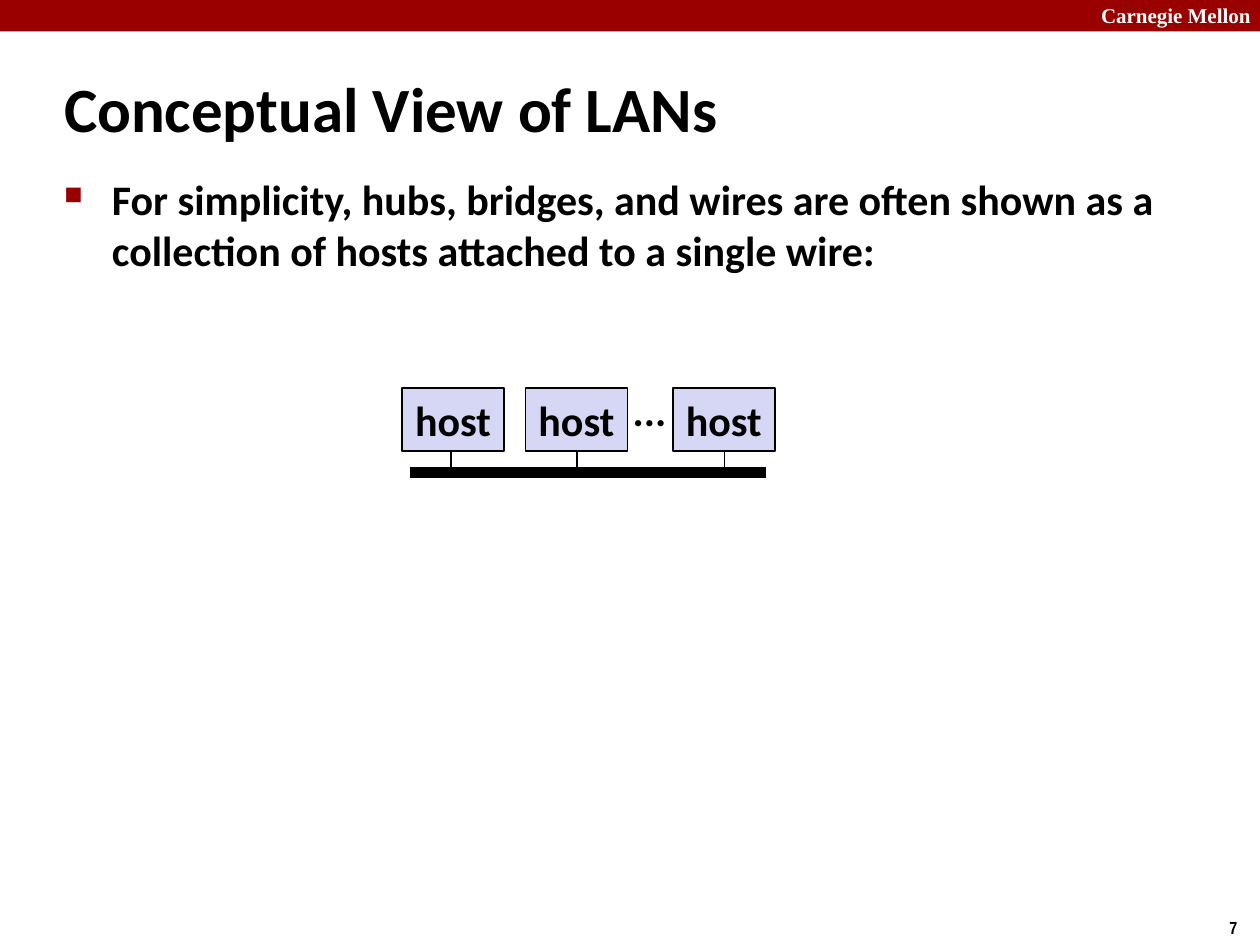
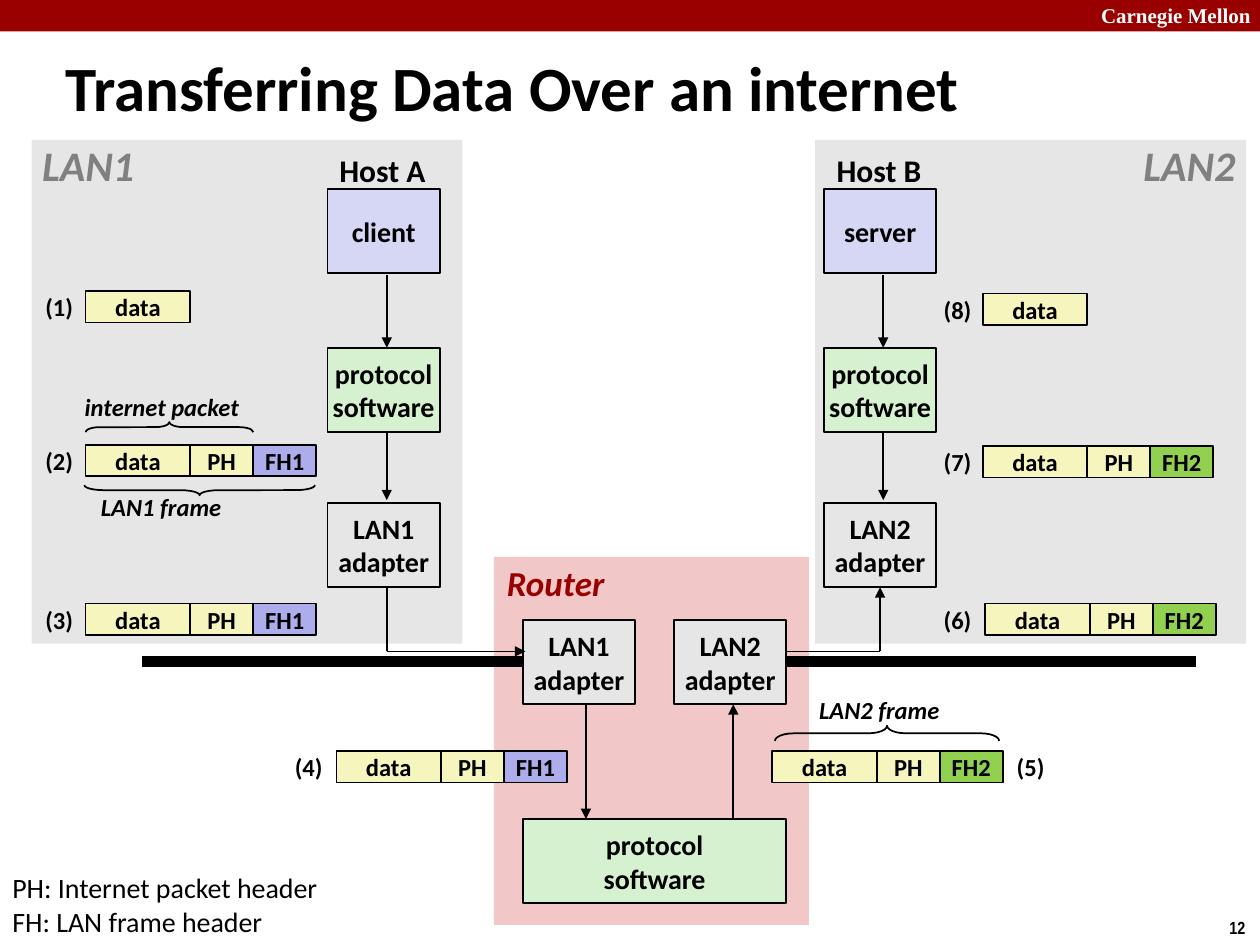
from dataclasses import dataclass
from typing import Any, Optional

from lxml import etree
from pptx import Presentation
from pptx import util as u
from pptx.dml.color import RGBColor
from pptx.enum import shapes, text
from pptx.oxml.ns import qn

CARDINAL, BLACK, WHITE, GREY = "990000", "000000", "FFFFFF", "808080"
PANEL, ROUTER_PINK = "E6E6E6", "F1C7C7"
LAVENDER, MINT, CREAM = "D6D6F5", "D5F1CF", "F6F5BD"
HEADER_FILLS = {"FH1": "ADADEB", "FH2": "92D050"}
BOTTOM = 2
STACK_WIDTH, BOX_HEIGHT = 0.89, 0.67
STACK_ARROW_SHIFT = 0.47
CELL_HEIGHT = 0.25


@dataclass(frozen=True)
class Style:
    size: float
    color: str = BLACK
    bold: bool = True
    italic: bool = False
    font: str = "Calibri"
    centered: bool = True
    middle: bool = True
    wrap: bool = False
    bullet: bool = False


TITLE = Style(36, centered=False, wrap=True)
BULLET = Style(24, centered=False, middle=False, wrap=True, bullet=True)
UNIVERSITY = Style(12, WHITE, font="Times New Roman", centered=False, middle=False, wrap=True)
PAGE_NUMBER = Style(10, font="Arial Narrow", centered=False, middle=False)
LEGEND = Style(16, bold=False, centered=False, middle=False)
HOST = Style(24)
HOST_NAME = Style(18)
LAN_NAME = Style(24, GREY, italic=True)
ROUTER_NAME = Style(20, CARDINAL, italic=True)
BOX = Style(16)
CELL = Style(14)
BRACE_NAME = Style(14, italic=True)


@dataclass(frozen=True)
class Area:
    left: float
    top: float
    width: float
    height: float

    def lengths(self) -> list[u.Length]:
        return [u.Inches(v) for v in (self.left, self.top, self.width, self.height)]


@dataclass(frozen=True)
class Frame:
    step: int
    left: float
    top: float
    header: Optional[str] = None
    label_shift: float = -0.43


@dataclass(frozen=True)
class Brace:
    area: Area
    opens_down: bool
    name: str
    name_area: Area


@dataclass(frozen=True)
class Lan:
    panel_left: float
    name: str
    name_left: float
    host: str
    program: str
    stack_left: float
    wire_left: float


def rgb(color: str) -> RGBColor:
    return RGBColor.from_string(color)


def add_bullet(paragraph: Any) -> None:
    properties = paragraph._p.get_or_add_pPr()
    indent = u.Inches(0.38)
    properties.set("marL", str(indent))
    properties.set("indent", str(-indent))
    color = etree.SubElement(properties, qn("a:buClr"))
    etree.SubElement(color, qn("a:srgbClr"), val=CARDINAL)
    etree.SubElement(properties, qn("a:buSzPct"), val="60000")
    etree.SubElement(properties, qn("a:buChar"), char="■")


def write(shape: Any, words: str, style: Style) -> None:
    frame = shape.text_frame
    frame.word_wrap = style.wrap
    frame.vertical_anchor = text.MSO_ANCHOR.MIDDLE if style.middle else text.MSO_ANCHOR.TOP
    frame.text = words
    for paragraph in frame.paragraphs:
        if style.bullet:
            add_bullet(paragraph)
        paragraph.alignment = text.PP_ALIGN.CENTER if style.centered else text.PP_ALIGN.LEFT
        font = paragraph.font
        font.name, font.size = style.font, u.Pt(style.size)
        font.bold, font.italic = style.bold, style.italic
        font.color.rgb = rgb(style.color)


def add_label(parent: Any, area: Area, words: str, style: Style) -> None:
    write(parent.shapes.add_textbox(*area.lengths()), words, style)


def add_box(parent: Any, area: Area, fill: str, words: str = "",
            style: Style = BOX, outlined: bool = True) -> Any:
    box = parent.shapes.add_shape(shapes.MSO_SHAPE.RECTANGLE, *area.lengths())
    box.shadow.inherit = False
    box.fill.solid()
    box.fill.fore_color.rgb = rgb(fill)
    if outlined:
        box.line.color.rgb = rgb(BLACK)
        box.line.width = u.Pt(1)
    else:
        box.line.fill.background()
    if words:
        write(box, words, style)
    return box


def add_line(parent: Any, start: tuple[float, float], end: tuple[float, float],
             width: float = 1, arrow: bool = False) -> Any:
    line = parent.shapes.add_connector(
        shapes.MSO_CONNECTOR.STRAIGHT, *[u.Inches(v) for v in (*start, *end)])
    line.line.color.rgb = rgb(BLACK)
    line.line.width = u.Pt(width)
    if arrow:
        etree.SubElement(line.line._get_or_add_ln(), qn("a:tailEnd"), type="triangle")
    etree.SubElement(line._element.spPr, qn("a:effectLst"))
    return line


def add_brace(parent: Any, brace: Brace) -> None:
    """Draw a horizontal brace: a left brace turned about its centre."""
    area = brace.area
    length, depth = area.width, area.height
    upright = Area(area.left + (length - depth) / 2, area.top + (depth - length) / 2,
                   depth, length)
    shape = parent.shapes.add_shape(shapes.MSO_SHAPE.LEFT_BRACE, *upright.lengths())
    shape.shadow.inherit = False
    shape.rotation = 90 if brace.opens_down else 270
    shape.adjustments[0] = length / depth / 12
    shape.fill.background()
    shape.line.color.rgb = rgb(BLACK)
    shape.line.width = u.Pt(1)
    add_label(parent, brace.name_area, brace.name, BRACE_NAME)


def add_frame(slide: Any, frame: Frame, braces: list[Brace]) -> None:
    group = slide.shapes.add_group_shape()
    cells = [("data", 0.83, CREAM)]
    if frame.header:
        cells += [("PH", 0.5, CREAM), (frame.header, 0.5, HEADER_FILLS[frame.header])]
    left = frame.left
    for words, width, fill in cells:
        add_box(group, Area(left, frame.top, width, CELL_HEIGHT), fill, words, CELL)
        left += width
    add_label(group, Area(frame.left + frame.label_shift, frame.top - 0.04, 0.44, 0.33),
              f"({frame.step})", CELL)
    for brace in braces:
        add_brace(group, brace)


def add_base(deck: Any, title: str, title_area: Area, number: int) -> Any:
    slide = deck.slides.add_slide(deck.slide_layouts[6])
    add_box(slide, Area(0, 0, 10, 0.25), CARDINAL, outlined=False)
    add_label(slide, Area(8.64, -0.03, 1.43, 0.3), "Carnegie Mellon", UNIVERSITY)
    add_label(slide, Area(9.66, 7.23, 0.34, 0.27), str(number), PAGE_NUMBER)
    add_label(slide, title_area, title, TITLE)
    return slide


def build_concept(deck: Any) -> None:
    slide = add_base(deck, "Conceptual View of LANs", Area(0.41, 0.54, 7.68, 0.63), 7)
    add_label(slide, Area(0.41, 1.33, 9.09, 0.83),
              "For simplicity, hubs, bridges, and wires are often shown as a "
              "collection of hosts attached to a single wire:", BULLET)
    wire_y = 3.75
    add_line(slide, (3.25, wire_y), (6.08, wire_y), width=6)
    for drop_x in (3.58, 4.58, 5.75):
        add_line(slide, (drop_x, 3.42), (drop_x, wire_y))
    for left in (3.19, 4.17, 5.34):
        add_box(slide, Area(left, 3.08, 0.81, 0.5), LAVENDER, "host", HOST)
    add_label(slide, Area(4.92, 3, 0.47, 0.5), "...", HOST)


LANS = [
    Lan(0.25, "LAN1", 0.23, "Host A", "client", 2.6, 1.13),
    Lan(6.47, "LAN2", 8.97, "Host B", "server", 6.54, 6.24),
]
FRAMES = [
    Frame(1, 0.68, 2.31),
    Frame(2, 0.68, 3.53, "FH1"),
    Frame(3, 0.68, 4.79, "FH1"),
    Frame(4, 2.67, 5.96, "FH1", label_shift=-0.44),
    Frame(5, 6.13, 5.96, "FH2", label_shift=1.83),
    Frame(6, 7.82, 4.79, "FH2", label_shift=-0.44),
    Frame(7, 7.8, 3.54, "FH2", label_shift=-0.42),
    Frame(8, 7.8, 2.33, label_shift=-0.42),
]
BRACES = {
    2: [Brace(Area(0.68, 3.35, 1.33, 0.08), True, "internet packet",
              Area(0.57, 3.06, 1.43, 0.34)),
        Brace(Area(0.67, 3.85, 1.83, 0.08), False, "LAN1 frame",
              Area(0.7, 3.85, 1.16, 0.34))],
    5: [Brace(Area(6.15, 5.76, 1.78, 0.12), True, "LAN2 frame",
              Area(6.4, 5.46, 1.16, 0.34))],
}


def add_host_stack(slide: Any, lan: Lan) -> Any:
    """Draw a host's three boxes from program to adapter, and return the adapter."""
    layers = [(1.5, LAVENDER, lan.program), (2.76, MINT, "protocol\nsoftware"),
              (3.99, PANEL, f"{lan.name}\nadapter")]
    boxes = [add_box(slide, Area(lan.stack_left, top, STACK_WIDTH, BOX_HEIGHT), fill, words)
             for top, fill, words in layers]
    arrow_x = lan.stack_left + STACK_ARROW_SHIFT
    for start_y, end_y in ((2.18, 2.76), (3.43, 3.97)):
        add_line(slide, (arrow_x, start_y), (arrow_x, end_y), arrow=True)
    add_label(slide, Area(lan.stack_left - 0.01, 1.15, STACK_WIDTH, 0.4), lan.host, HOST_NAME)
    return boxes[-1]


def build_transfer(deck: Any) -> None:
    slide = add_base(deck, "Transferring Data Over an internet", Area(0.42, 0.37, 8.68, 0.63), 12)
    for lan in LANS:
        add_box(slide, Area(lan.panel_left, 1.11, 3.42, 4), PANEL, outlined=False)
        add_label(slide, Area(lan.name_left, 1.06, 0.94, 0.5), lan.name, LAN_NAME)
    add_box(slide, Area(3.92, 4.42, 2.5, 2.92), ROUTER_PINK, outlined=False)
    add_label(slide, Area(3.92, 4.4, 0.98, 0.44), "Router", ROUTER_NAME)
    for lan in LANS:
        add_line(slide, (lan.wire_left, 5.25), (lan.wire_left + 3.25, 5.25), width=6)
    _, adapter_b = [add_host_stack(slide, lan) for lan in LANS]

    router_left, router_top, software_top = 4.15, 4.92, 6.5
    router_right = 6.24
    for lan, left in zip(LANS, (router_left, router_right - STACK_WIDTH)):
        add_box(slide, Area(left, router_top, STACK_WIDTH, BOX_HEIGHT), PANEL,
                f"{lan.name}\nadapter")
    add_box(slide, Area(router_left, software_top, router_right - router_left, BOX_HEIGHT),
            MINT, "protocol\nsoftware")
    adapter_bottom = router_top + BOX_HEIGHT
    add_line(slide, (4.65, adapter_bottom), (4.65, software_top), arrow=True)
    add_line(slide, (5.82, software_top), (5.82, adapter_bottom), arrow=True)

    turn_y = 5.17
    exit_x = LANS[0].stack_left + STACK_ARROW_SHIFT
    entry_x = LANS[1].stack_left + STACK_WIDTH / 2
    add_line(slide, (exit_x, 4.65), (exit_x, turn_y))
    add_line(slide, (exit_x, turn_y), (4.17, turn_y), arrow=True)
    add_line(slide, (router_right, turn_y), (entry_x, turn_y))
    add_line(slide, (entry_x, turn_y), (entry_x, 4.66), arrow=True).end_connect(adapter_b, BOTTOM)

    for frame in FRAMES:
        add_frame(slide, frame, BRACES.get(frame.step, []))
    add_label(slide, Area(0, 6.86, 2.7, 0.64),
              "PH: Internet packet header\nFH: LAN frame header", LEGEND)


def main() -> None:
    deck = Presentation()
    deck.slide_width, deck.slide_height = u.Inches(10), u.Inches(7.5)
    build_concept(deck)
    build_transfer(deck)
    deck.save("out.pptx")


if __name__ == "__main__":
    main()
